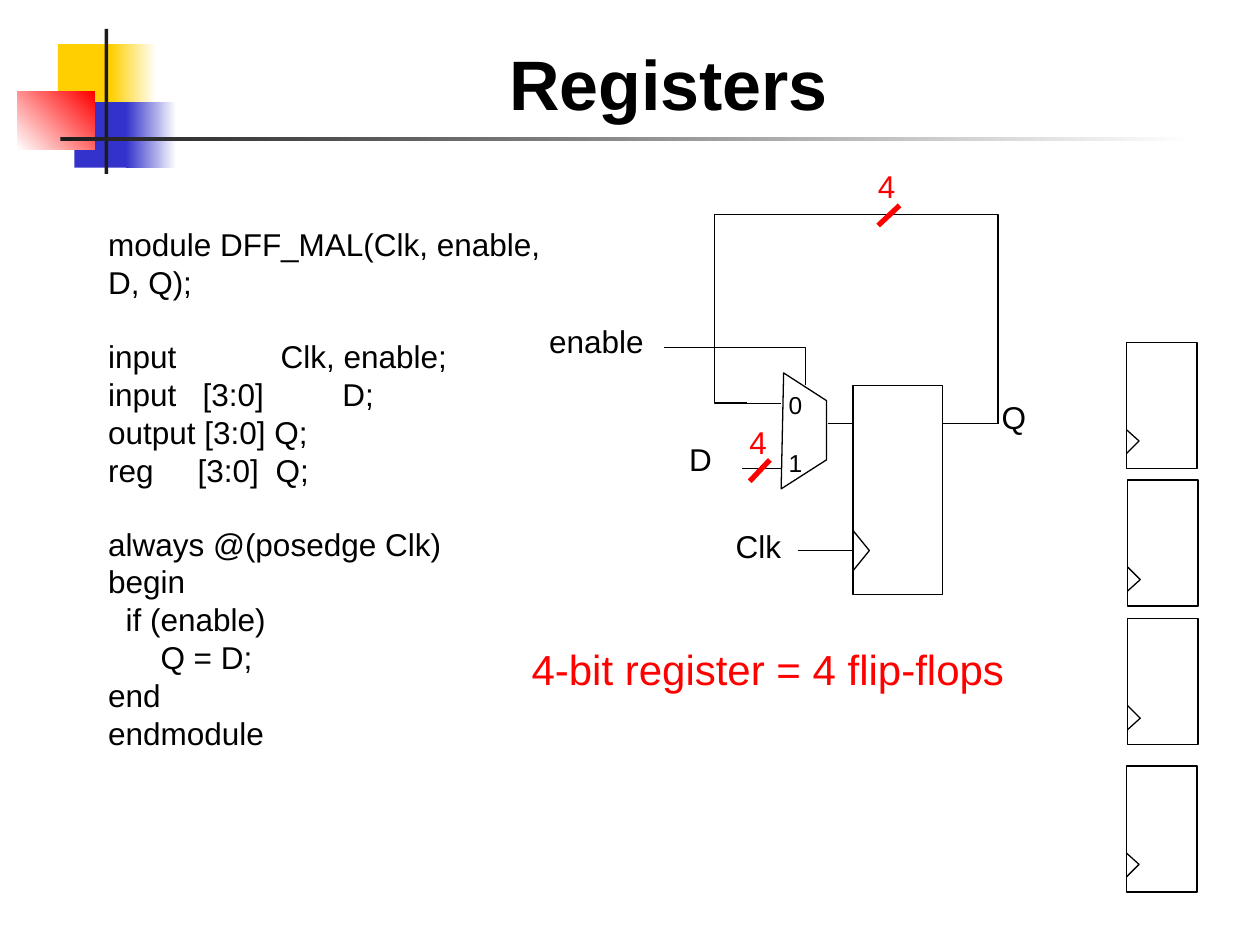
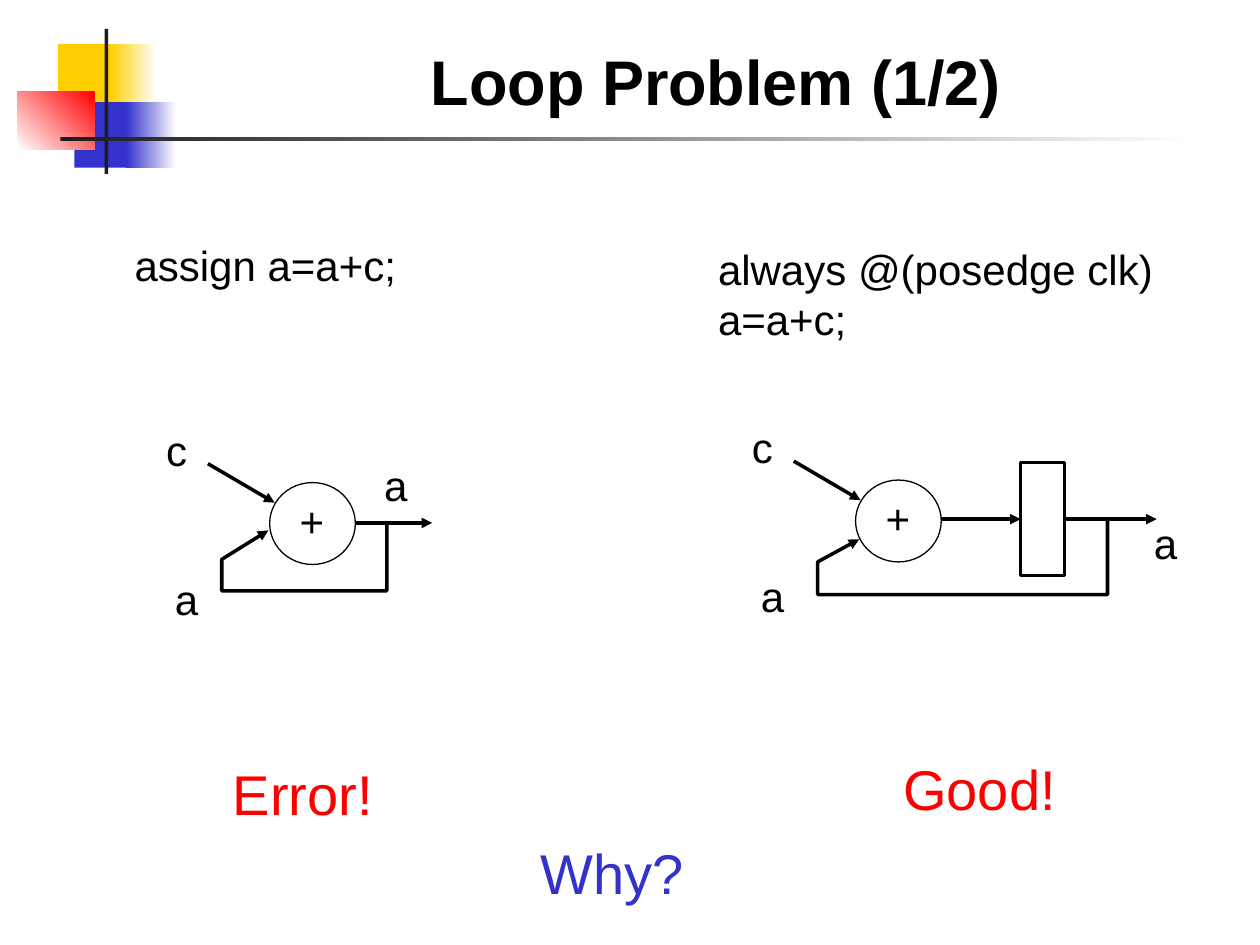
import pptx
import pptx.dml.color
import pptx.enum.shapes
import pptx.enum.text
import pptx.oxml.ns
import pptx.util
from lxml import etree

PX = 9144  # EMU in one px, 100 px to the inch
BLACK, WHITE, RED, BLUE = "000000", "FFFFFF", "FF0000", "3333CC"
YELLOW, CHARCOAL = "FFCF01", "1C1C1C"
RECTANGLE = pptx.enum.shapes.MSO_SHAPE.RECTANGLE
OVAL = pptx.enum.shapes.MSO_SHAPE.OVAL
STRAIGHT = pptx.enum.shapes.MSO_CONNECTOR.STRAIGHT
rgb = pptx.dml.color.RGBColor.from_string
qn = pptx.oxml.ns.qn


def write(shape, lines, size, colour=BLACK, bold=False):
    """Fill a text box or placeholder with one paragraph per line."""
    frame = shape.text_frame
    frame.word_wrap = False
    frame.auto_size = pptx.enum.text.MSO_AUTO_SIZE.NONE
    frame.vertical_anchor = pptx.enum.text.MSO_ANCHOR.TOP
    for number, line in enumerate(lines):
        paragraph = frame.paragraphs[0] if number == 0 else frame.add_paragraph()
        paragraph.alignment = pptx.enum.text.PP_ALIGN.LEFT
        run = paragraph.add_run()
        run.text = line
        run.font.name = "Arial"
        run.font.size = pptx.util.Pt(size)
        run.font.bold = bold
        run.font.color.rgb = rgb(colour)
    return frame


def outline(shape, width=0.75, colour=BLACK, arrow=False):
    """Leave only a plain line on a shape or connector."""
    if hasattr(shape, "fill"):
        shape.fill.background()
    shape.line.color.rgb = rgb(colour)
    shape.line.width = pptx.util.Pt(width)
    properties = shape.element.spPr
    if arrow:
        etree.SubElement(properties.find(qn("a:ln")), qn("a:tailEnd"), type="triangle")
    etree.SubElement(properties, qn("a:effectLst"))
    return shape


presentation = pptx.Presentation()
presentation.slide_width = 1000 * PX
presentation.slide_height = 750 * PX

# Slides and titles
layout = presentation.slide_layouts[5]
for placeholder in list(layout.placeholders)[1:]:
    placeholder.element.getparent().remove(placeholder.element)

slides = []
for title, left, top, width, height, size in [
    ("Registers", 394, 27, 273, 77, 40),
    ("Loop Problem (1/2)", 332, 29, 473, 70, 36),
]:
    slide = presentation.slides.add_slide(layout)
    shape = slide.shapes.title
    shape.left, shape.top = left * PX, top * PX
    shape.width, shape.height = width * PX, height * PX
    write(shape, [title], size, bold=True)
    slides.append(slide)
registers, loop_problem = slides

# Corner blocks and rules, moved to the layout that both slides use
for number, (left, top, width, height, start, end, angle) in enumerate([
    (46, 35, 48, 52, YELLOW, None, 0),
    (88, 35, 36, 52, YELLOW, WHITE, 0),
    (59, 81, 46, 52, BLUE, None, 0),
    (100, 81, 40, 52, BLUE, WHITE, 0),
    (14, 73, 61, 46, WHITE, RED, 45),
    (83, 23, 3, 115, CHARCOAL, None, 0),
    (48, 109, 900, 3, CHARCOAL, WHITE, 0),
]):
    block = registers.shapes.add_shape(
        RECTANGLE, left * PX, top * PX, width * PX, height * PX)
    block.shadow.inherit = False
    block.line.fill.background()
    if end:
        block.fill.gradient()
        block.fill.gradient_angle = angle
        for stop, colour in zip(block.fill.gradient_stops, (start, end)):
            stop.color.rgb = rgb(colour)
    else:
        block.fill.solid()
        block.fill.fore_color.rgb = rgb(start)
    layout.shapes.element.insert(2 + number, block.element)

# Registers: code
code = [
    "module DFF_MAL(Clk, enable,",
    "D, Q);",
    "input\tClk, enable;",
    "input\t[3:0]\tD;",
    "output [3:0] Q;",
    "reg\t[3:0]\tQ;",
    "always @(posedge Clk)",
    "begin",
    "  if (enable)",
    "      Q = D;",
    "end",
    "endmodule",
]
box = registers.shapes.add_textbox(76 * PX, 174 * PX, 476 * PX, 457 * PX)
paragraphs = write(box, code, 18).paragraphs
for number in (2, 6):
    paragraphs[number].space_before = pptx.util.Pt(20.7)
for number, stops in {2: [137], 3: [75, 186], 5: [71, 133]}.items():
    properties = paragraphs[number]._p.get_or_add_pPr()
    tabs = etree.SubElement(properties, qn("a:tabLst"))
    for stop in stops:
        etree.SubElement(tabs, qn("a:tab"), pos=str(stop * PX), algn="l")

# Registers: large register and four flip-flops, each with a clock notch
for left, top, width, height, notch_top, notch_width, notch_height in [
    (677, 306, 71, 166, 115, 13, 32),
    (894, 272, 56, 100, 69, 10, 19),
    (895, 381, 56, 100, 69, 10, 19),
    (895, 491, 56, 100, 69, 10, 19),
    (894, 608, 56, 100, 69, 10, 19),
]:
    outline(registers.shapes.add_shape(
        RECTANGLE, left * PX, top * PX, width * PX, height * PX))
    y = top + notch_top
    notch = registers.shapes.build_freeform(left, y, scale=PX)
    notch.add_line_segments(
        [(left + notch_width, y + notch_height / 2), (left, y + notch_height)],
        close=False)
    outline(notch.convert_to_shape())

# Registers: multiplexer, feedback and enable wires
for points, closed in [
    ([(622, 296), (656, 318), (656, 365), (620, 388)], True),
    ([(792, 336), (792, 170), (567, 170), (567, 320), (593, 320)], False),
    ([(639, 306), (639, 276), (527, 276)], False),
]:
    builder = registers.shapes.build_freeform(*points[0], scale=PX)
    builder.add_line_segments(points[1:], close=closed)
    outline(builder.convert_to_shape())

# Registers: straight wires and red bus marks
for x1, y1, x2, y2, width, colour in [
    (633, 437, 677, 437, 0.75, BLACK),
    (748, 336, 793, 336, 0.75, BLACK),
    (657, 336, 676, 336, 0.75, BLACK),
    (590, 320, 620, 320, 0.75, BLACK),
    (589, 372, 620, 372, 0.75, BLACK),
    (714, 163, 697, 179, 3, RED),
    (611, 365, 595, 382, 3, RED),
]:
    wire = registers.shapes.add_connector(STRAIGHT, x1 * PX, y1 * PX, x2 * PX, y2 * PX)
    outline(wire, width, colour)

# Loop Problem: the same adder on both sides
for dx, dy in [(0, 0), (465, -2)]:
    outline(loop_problem.shapes.add_shape(
        OVAL, (214 + dx) * PX, (383 + dy) * PX, 68 * PX, 65 * PX))
    outline(loop_problem.shapes.add_connector(
        STRAIGHT, (165 + dx) * PX, (368 + dy) * PX,
        (218 + dx) * PX, (399 + dy) * PX), 2, arrow=True)
    for text, left, top, width in [("+", 228, 388, 39), ("c", 122, 332, 36), ("a", 129, 450, 38)]:
        box = loop_problem.shapes.add_textbox(
            (left + dx) * PX, (top + dy) * PX, width * PX, 50 * PX)
        write(box, [text], 24)

# Loop Problem: register, adder outputs and feedback paths
register = outline(loop_problem.shapes.add_shape(
    RECTANGLE, 810 * PX, 367 * PX, 35 * PX, 90 * PX), 2)
for x1, x2, y, begin_side, end_side in [
    (282, 343, 415, None, None),
    (747, 810, 412, None, 1),
    (845, 918, 412, 3, None),
]:
    arrow = loop_problem.shapes.add_connector(STRAIGHT, x1 * PX, y * PX, x2 * PX, y * PX)
    if begin_side is not None:
        arrow.begin_connect(register, begin_side)
    if end_side is not None:
        arrow.end_connect(register, end_side)
    outline(arrow, 2, arrow=True)
for points in [
    [(307, 415), (307, 469), (176, 469), (176, 444), (213, 421)],
    [(879, 412), (879, 472), (649, 472), (649, 446), (682, 428)],
]:
    builder = loop_problem.shapes.build_freeform(*points[0], scale=PX)
    builder.add_line_segments(points[1:], close=False)
    outline(builder.convert_to_shape(), 2, arrow=True)

# Labels and remarks
for slide, lines, left, top, width, height, size, colour in [
    (registers, ["Q"], 785, 311, 39, 40, 18, BLACK),
    (registers, ["Clk"], 574, 413, 56, 40, 18, BLACK),
    (registers, ["D"], 537, 344, 38, 40, 18, BLACK),
    (registers, ["enable"], 426, 251, 95, 40, 18, BLACK),
    (registers, ["4"], 687, 128, 34, 40, 18, RED),
    (registers, ["4"], 585, 331, 34, 40, 18, RED),
    (registers, ["0", "1"], 616, 305, 31, 80, 14, BLACK),
    (registers, ["4-bit register = 4 flip-flops"], 412, 506, 395, 50, 24, RED),
    (loop_problem, ["assign a=a+c;"], 97, 185, 227, 50, 24, BLACK),
    (loop_problem, ["always @(posedge clk)", "a=a+c;"], 560, 188, 365, 90, 24, BLACK),
    (loop_problem, ["a"], 295, 360, 38, 50, 24, BLACK),
    (loop_problem, ["a"], 906, 406, 38, 50, 24, BLACK),
    (loop_problem, ["Error!"], 175, 598, 131, 64, 32, RED),
    (loop_problem, ["Good!"], 707, 594, 141, 64, 32, RED),
    (loop_problem, ["Why?"], 419, 661, 134, 64, 32, BLUE),
]:
    box = slide.shapes.add_textbox(left * PX, top * PX, width * PX, height * PX)
    frame = write(box, lines, size, colour)
    if lines == ["0", "1"]:
        frame.paragraphs[1].space_before = pptx.util.Pt(16.1)

presentation.save("out.pptx")
